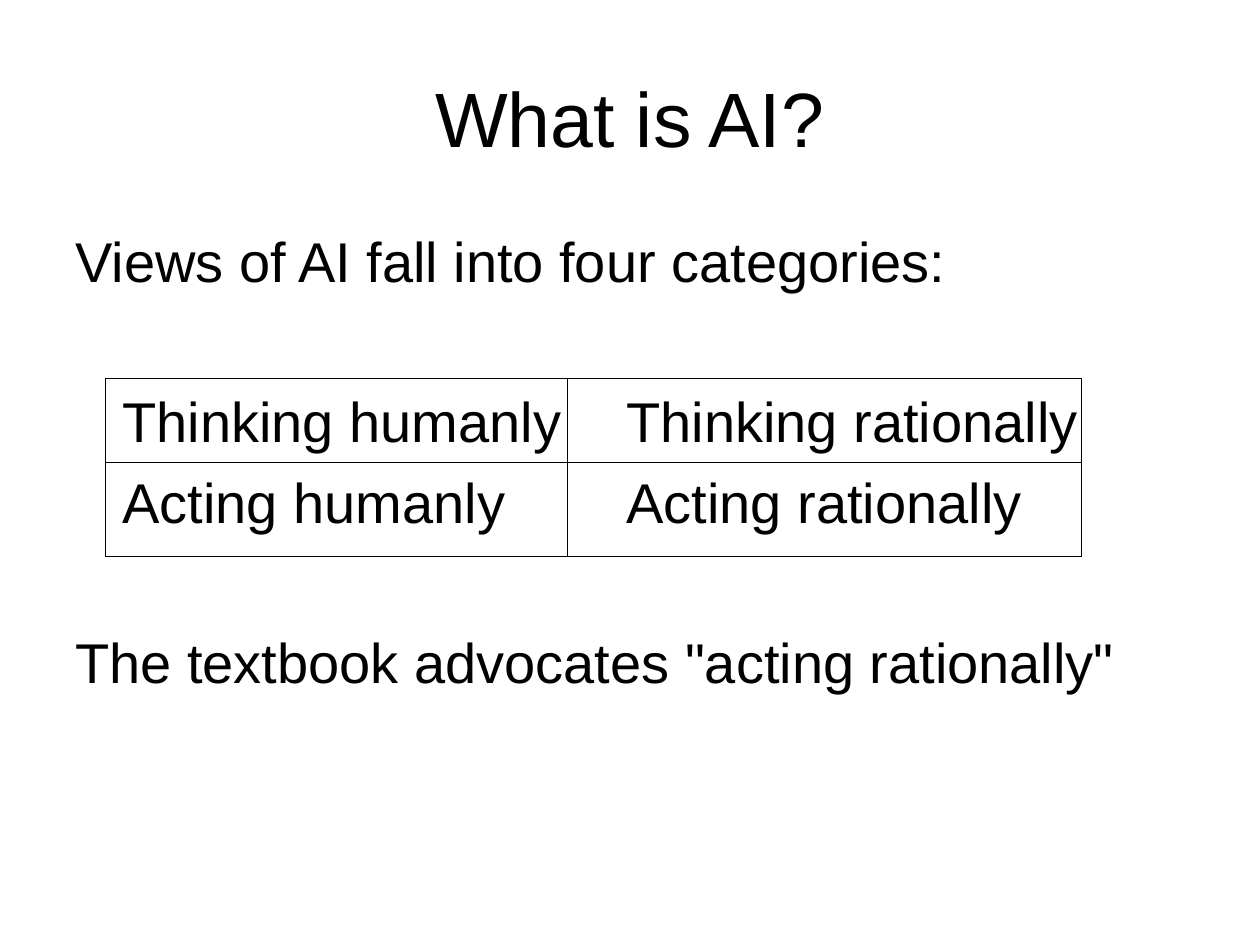
from lxml.etree import SubElement
from pptx import Presentation
from pptx.dml.color import RGBColor
from pptx.enum.text import MSO_ANCHOR, PP_ALIGN
from pptx.oxml.ns import qn
from pptx.util import Cm, Pt

hues = {"ink": "000000"}
ink = RGBColor.from_string(hues["ink"])

deck = Presentation()
deck.slide_width, deck.slide_height = Cm(25.4), Cm(19.05)
slide = deck.slides.add_slide(deck.slide_layouts[6])


def add_text(top, high, size, lines, form):
    box = slide.shapes.add_textbox(Cm(1.27), Cm(top), Cm(22.86), Cm(high))
    frame = box.text_frame
    frame.word_wrap = True
    for num, (text, gap) in enumerate(lines):
        para = frame.add_paragraph() if num else frame.paragraphs[0]
        run = para.add_run()
        run.text = text
        run.font.color.rgb = ink
        for key, val in {"name": "Arial", "size": Pt(size)}.items():
            setattr(run.font, key, val)
        for key, val in {"space_before": Pt(gap), **form}.items():
            setattr(para, key, val)
    return frame


title = add_text(0.76, 3.18, 44, [("What is AI?", 0)], {"alignment": PP_ALIGN.CENTER})
title.vertical_anchor = MSO_ANCHOR.MIDDLE

near, far = 8, 52.8
lines = [
    ("Views of AI fall into four categories:", near),
    ("\tThinking humanly\tThinking rationally", far),
    ("\tActing humanly\tActing rationally", near),
    ('The textbook advocates "acting rationally"', far),
]
body = add_text(4.45, 12.57, 32, lines, {"alignment": PP_ALIGN.LEFT})
step = 2.54
for para in body.paragraphs:
    props = para._p.get_or_add_pPr()
    sizes = {"marL": 0.95, "indent": -0.95, "defTabSz": step}
    for key, val in sizes.items():
        props.set(key, str(Cm(val)))
    tabs = SubElement(props, qn("a:tabLst"))
    for num in range(8):
        SubElement(tabs, qn("a:tab"), pos=str(Cm(num * step)), algn="l")

wides, highs = (9.32, 10.36), (1.7, 1.9)
grid = slide.shapes.add_table(
    2, 2, Cm(2.12), Cm(7.62), Cm(sum(wides)), Cm(sum(highs))
).table
for flag in ("first_row", "horz_banding"):
    setattr(grid, flag, False)
for col, wide in zip(grid.columns, wides):
    col.width = Cm(wide)
for row, high in zip(grid.rows, highs):
    row.height = Cm(high)
    for cell in row.cells:
        props = cell._tc.get_or_add_tcPr()
        for side in ("lnL", "lnR", "lnT", "lnB"):
            edge = SubElement(props, qn(f"a:{side}"), w=str(Pt(0.45)))
            fill = SubElement(edge, qn("a:solidFill"))
            SubElement(fill, qn("a:srgbClr"), val=hues["ink"])
        cell.fill.background()

deck.save("out.pptx")
